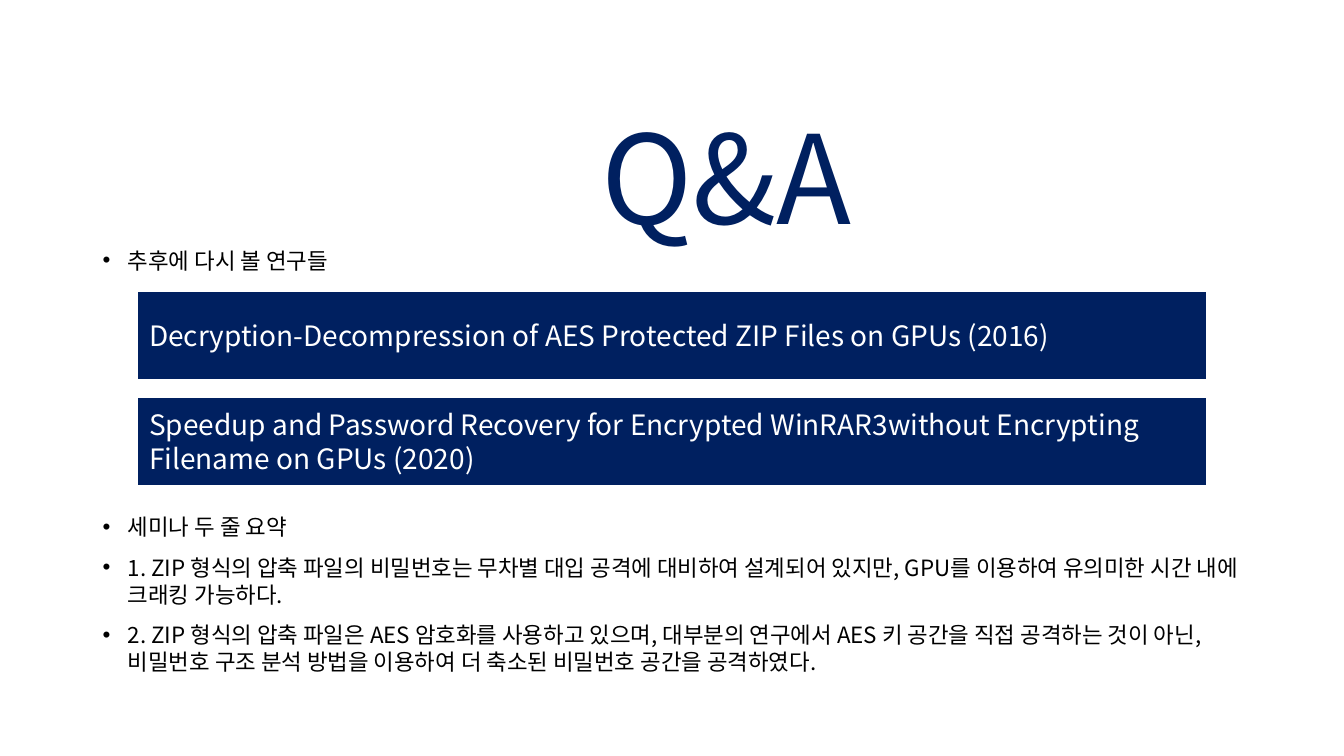
from lxml import etree
from pptx import Presentation
from pptx.dml.color import RGBColor
from pptx.enum.shapes import MSO_SHAPE
from pptx.enum.text import MSO_ANCHOR, PP_ALIGN
from pptx.oxml.ns import qn
from pptx.util import Inches, Pt

NAVY = RGBColor(0x00, 0x20, 0x60)
WHITE = RGBColor(0xFF, 0xFF, 0xFF)
BLACK = RGBColor(0x00, 0x00, 0x00)
FONT = "Noto Sans CJK KR"
RECTANGLE = MSO_SHAPE.RECTANGLE
TOP, MIDDLE = MSO_ANCHOR.TOP, MSO_ANCHOR.MIDDLE
LEFT, CENTER = PP_ALIGN.LEFT, PP_ALIGN.CENTER
TITLE_ONLY = 5

PAPERS = [
    "Decryption-Decompression of AES Protected ZIP Files on GPUs (2016)",
    "Speedup and Password Recovery for Encrypted WinRAR3without Encrypting "
    "Filename on GPUs (2020)",
]
SUMMARY = [
    "세미나 두 줄 요약",
    "1. ZIP 형식의 압축 파일의 비밀번호는 무차별 대입 공격에 대비하여 설계되어 있지만, "
    "GPU를 이용하여 유의미한 시간 내에 크래킹 가능하다.",
    "2. ZIP 형식의 압축 파일은 AES 암호화를 사용하고 있으며, 대부분의 연구에서 AES 키 공간을 "
    "직접 공격하는 것이 아닌, 비밀번호 구조 분석 방법을 이용하여 더 축소된 비밀번호 공간을 공격하였다.",
]


def add_text(para, text, size, color, align=LEFT):
    para.alignment = align
    para.line_spacing = 1.0
    span = para.add_run()
    span.text = text
    span.font.size = Pt(size)
    span.font.name = FONT
    span.font.color.rgb = color


def add_bullets(page, left, top, width, height, lines):
    box = page.shapes.add_textbox(Inches(left), Inches(top), Inches(width), Inches(height))
    frame = box.text_frame
    frame.word_wrap = True
    frame.vertical_anchor = TOP
    for index, line in enumerate(lines):
        para = frame.paragraphs[0] if index == 0 else frame.add_paragraph()
        properties = para._p.get_or_add_pPr()
        properties.set("marL", str(Inches(0.25)))
        properties.set("indent", str(-Inches(0.25)))
        bullet_font = etree.SubElement(properties, qn("a:buFont"))
        bullet_font.set("typeface", "Arial")
        bullet = etree.SubElement(properties, qn("a:buChar"))
        bullet.set("char", "•")
        if index:
            para.space_before = Pt(10)
        add_text(para, line, 16, BLACK)


deck = Presentation()
deck.slide_width, deck.slide_height = Inches(13.33), Inches(7.5)
page = deck.slides.add_slide(deck.slide_layouts[TITLE_ONLY])

# Title
title = page.shapes.title
title.left, title.top = Inches(4.71), Inches(0.16)
title.width, title.height = Inches(4.99), Inches(3.16)
title.text_frame.vertical_anchor = MIDDLE
add_text(title.text_frame.paragraphs[0], "Q&A", 88, NAVY, CENTER)

# Papers to revisit, one square-cornered bar each
for row, paper in enumerate(PAPERS):
    bar = page.shapes.add_shape(
        RECTANGLE, Inches(1.38), Inches(2.91 + row * 1.05), Inches(10.57), Inches(0.84))
    bar.shadow.inherit = False
    bar.fill.solid()
    bar.fill.fore_color.rgb = NAVY
    bar.line.color.rgb = NAVY
    bar.line.width = Pt(2.25)
    corner = etree.SubElement(bar.line._get_or_add_ln(), qn("a:miter"))
    corner.set("lim", "800000")
    bar.text_frame.word_wrap = True
    bar.text_frame.vertical_anchor = MIDDLE
    add_text(bar.text_frame.paragraphs[0], paper, 20, WHITE)

# Seminar summary and the heading above the bars
add_bullets(page, 0.92, 5.04, 11.5, 1.96, SUMMARY)
add_bullets(page, 0.92, 2.4, 11.32, 0.53, ["추후에 다시 볼 연구들"])

deck.save("out.pptx")
